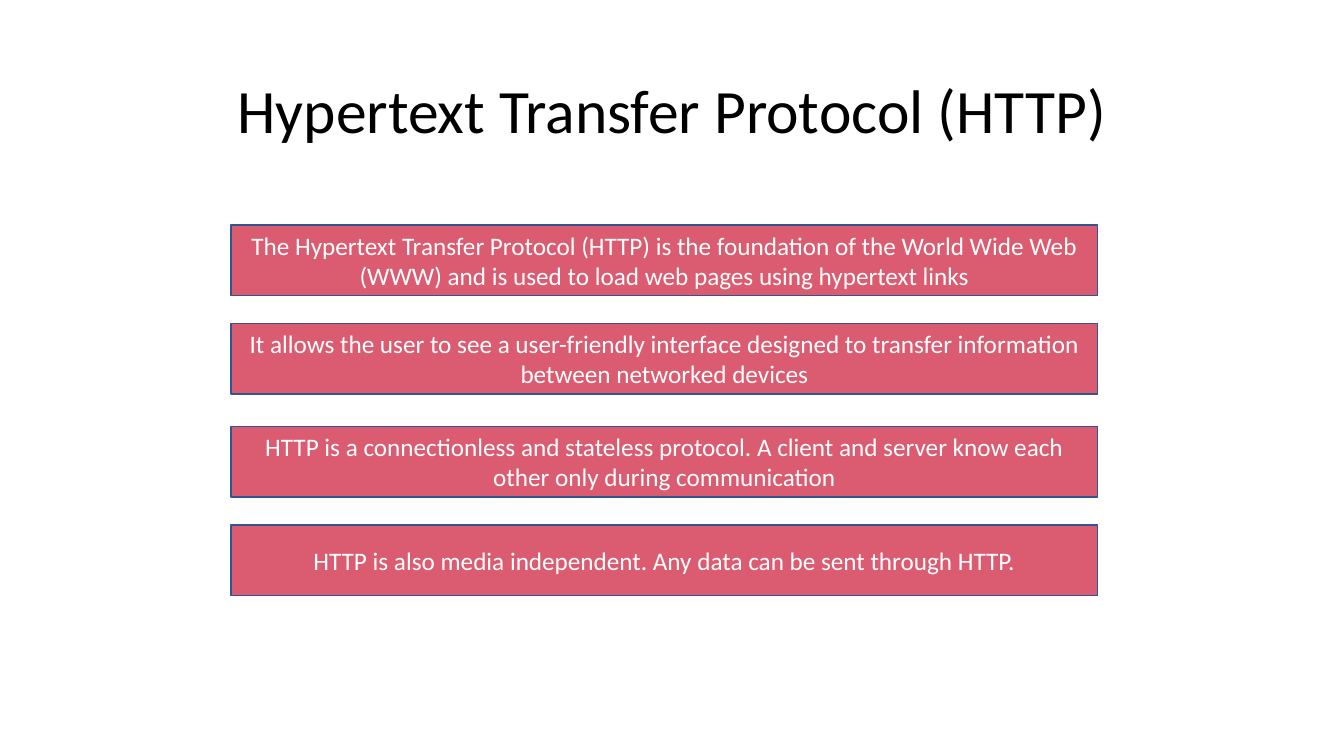
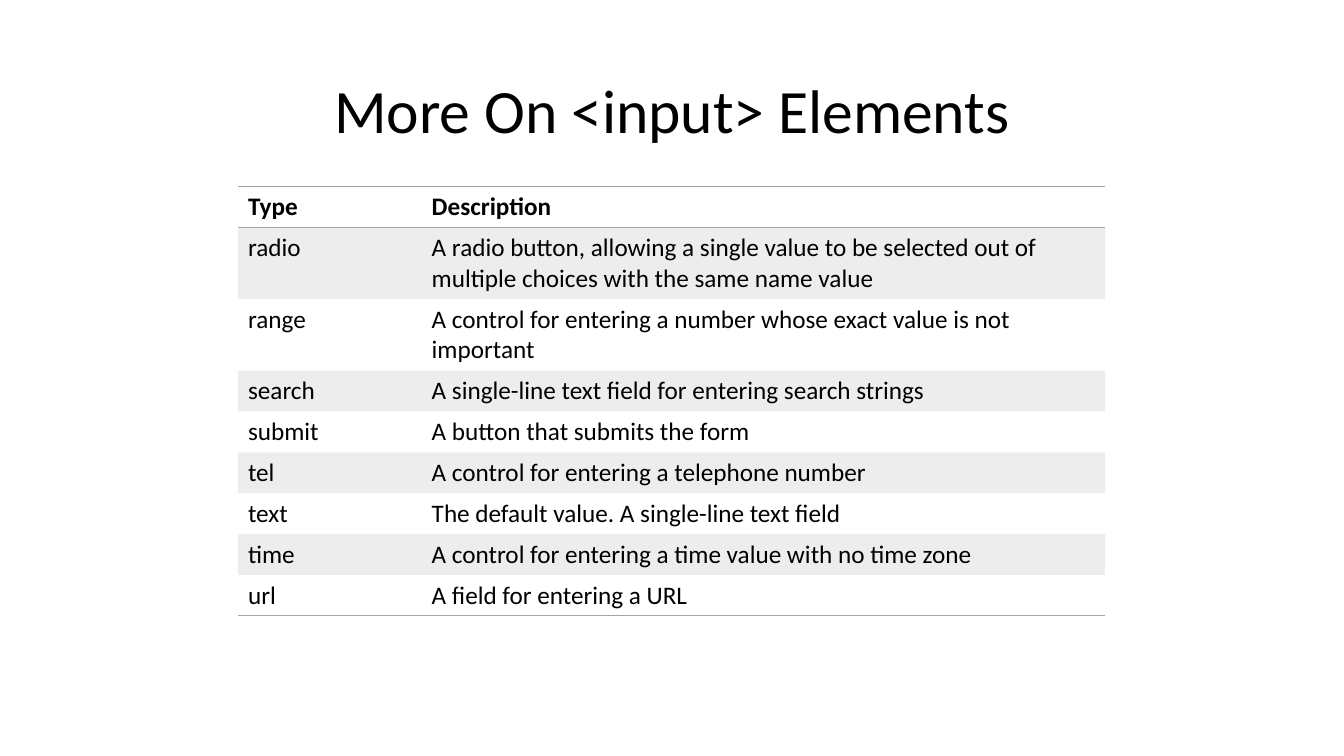
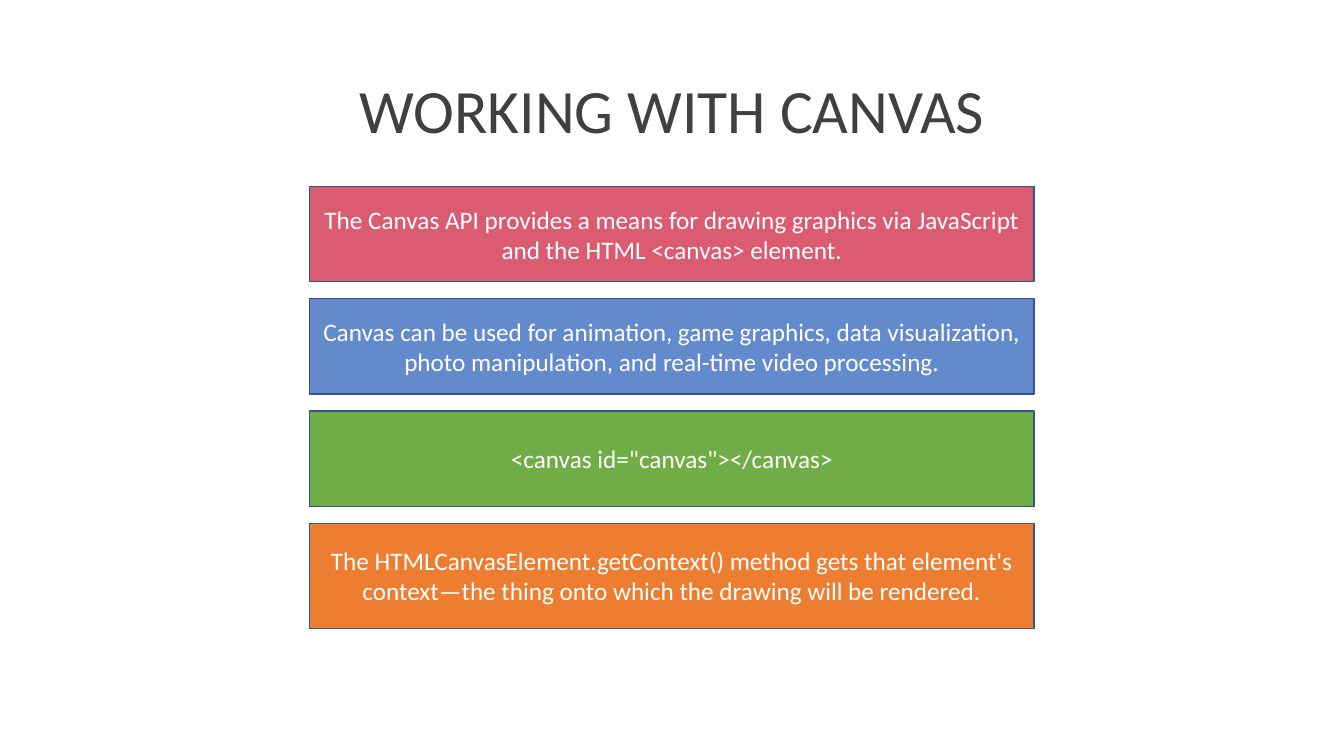
from dataclasses import dataclass
from lxml import etree
from pptx import Presentation
from pptx.dml.color import RGBColor
from pptx.enum.shapes import MSO_SHAPE as SHAPE
from pptx.enum.text import MSO_ANCHOR as ANCHOR, PP_ALIGN as ALIGN
from pptx.oxml import parse_xml
from pptx.oxml.ns import nsdecls, qn
from pptx.util import Pt


@dataclass(frozen=True)
class Theme:
    font: str = "Calibri"
    title_size: int = 44
    body_size: int = 18
    black: str = "000000"
    charcoal: str = "404040"
    white: str = "FFFFFF"
    rose: str = "DB5B70"
    blue: str = "648ACE"
    green: str = "70AD47"
    orange: str = "ED7D31"
    outline: str = "325491"
    grey: str = "A5A5A5"
    band_alpha: int = 20000
    plain_table: str = "{2D5ABB26-0587-4C30-8999-92F81FD0307C}"


class Deck:
    """Build slides that share one theme."""

    def __init__(self, theme):
        self.theme = theme
        self.prs = Presentation()
        self.prs.slide_width, self.prs.slide_height = Pt(960), Pt(540)
        self.slide = None

    def style(self, tf, size, color, align, bold=False):
        for p in tf.paragraphs:
            p.alignment = align
            for r in p.runs:
                r.font.name = self.theme.font
                r.font.size = Pt(size)
                r.font.bold = bold
                r.font.color.rgb = RGBColor.from_string(color)

    def add_slide(self, title, color):
        self.slide = self.prs.slides.add_slide(self.prs.slide_layouts[5])
        sp = self.slide.shapes.title
        sp.left, sp.top, sp.width, sp.height = Pt(66.2), Pt(28.8), Pt(828), Pt(104.4)
        tf = sp.text_frame
        tf.text = title
        tf.vertical_anchor = ANCHOR.MIDDLE
        tf.paragraphs[0].line_spacing = 0.9
        self.style(tf, self.theme.title_size, color, ALIGN.CENTER)

    def add_box(self, text, left, top, width, height, fill):
        sp = self.slide.shapes.add_shape(
            SHAPE.RECTANGLE, Pt(left), Pt(top), Pt(width), Pt(height))
        sp.shadow.inherit = False
        sp.fill.solid()
        sp.fill.fore_color.rgb = RGBColor.from_string(fill)
        sp.line.color.rgb = RGBColor.from_string(self.theme.outline)
        sp.line.width = Pt(1)
        tf = sp.text_frame
        tf.text = text
        tf.word_wrap = True
        tf.vertical_anchor = ANCHOR.MIDDLE
        self.style(tf, self.theme.body_size, self.theme.white, ALIGN.CENTER)

    def add_table(self, rows, left, top, col_widths, row_height):
        table = self.slide.shapes.add_table(
            len(rows), len(col_widths), Pt(left), Pt(top),
            Pt(sum(col_widths)), Pt(row_height * len(rows))).table
        table.horz_banding = False
        table._tbl.tblPr.find(qn("a:tableStyleId")).text = self.theme.plain_table
        for col, width in zip(table.columns, col_widths):
            col.width = Pt(width)
        for i, row in enumerate(rows):
            table.rows[i].height = Pt(row_height)
            sides = "TB" if i == 0 else "B" if i == len(rows) - 1 else ""
            for cell, text in zip(table.rows[i].cells, row):
                cell.text = text
                self.style(cell.text_frame, self.theme.body_size,
                           self.theme.black, ALIGN.LEFT, bold=i == 0)
                self.fill_cell(cell, banded=i % 2 == 1)
                self.rule_cell(cell, sides)

    def fill_cell(self, cell, banded):
        if not banded:
            cell.fill.background()
            return
        cell.fill.solid()
        cell.fill.fore_color.rgb = RGBColor.from_string(self.theme.grey)
        clr = cell._tc.tcPr.find(f".//{qn('a:srgbClr')}")
        etree.SubElement(clr, qn("a:alpha"), val=str(self.theme.band_alpha))

    def rule_cell(self, cell, sides):
        for i, side in enumerate(sides):
            cell._tc.tcPr.insert(i, parse_xml(
                f'<a:ln{side} {nsdecls("a")} w="{Pt(1)}"><a:solidFill>'
                f'<a:srgbClr val="{self.theme.grey}"/></a:solidFill></a:ln{side}>'))


def add_http_slide(deck):
    deck.add_slide("Hypertext Transfer Protocol (HTTP)", deck.theme.black)
    facts = [
        (160.6, "The Hypertext Transfer Protocol (HTTP) is the foundation of the World Wide Web "
                "(WWW) and is used to load web pages using hypertext links"),
        (231.1, "It allows the user to see a user-friendly interface designed to transfer "
                "information between networked devices"),
        (304.6, "HTTP is a connectionless and stateless protocol. A client and server know each "
                "other only during communication"),
        (375.1, "HTTP is also media independent. Any data can be sent through HTTP."),
    ]
    for top, text in facts:
        deck.add_box(text, 165, top, 619.2, 50.4, deck.theme.rose)


def add_input_slide(deck):
    deck.add_slide("More On <input> Elements", deck.theme.black)
    rows = [
        ("Type", "Description"),
        ("radio", "A radio button, allowing a single value to be selected out of multiple "
                  "choices with the same name value"),
        ("range", "A control for entering a number whose exact value is not important"),
        ("search", "A single-line text field for entering search strings"),
        ("submit", "A button that submits the form"),
        ("tel", "A control for entering a telephone number"),
        ("text", "The default value. A single-line text field"),
        ("time", "A control for entering a time value with no time zone"),
        ("url", "A field for entering a URL"),
    ]
    deck.add_table(rows, 170, 133.2, (131.2, 488.2), 29.2)


def add_canvas_slide(deck):
    theme = deck.theme
    deck.add_slide("WORKING WITH CANVAS", theme.charcoal)
    boxes = [
        (theme.rose, 68, "The Canvas API provides a means for drawing graphics via JavaScript "
                         "and the HTML <canvas> element."),
        (theme.blue, 68, "Canvas can be used for animation, game graphics, data visualization, "
                         "photo manipulation, and real-time video processing."),
        (theme.green, 68, '<canvas id="canvas"></canvas>'),
        (theme.orange, 75, "The HTMLCanvasElement.getContext() method gets that element's "
                           "context—the thing onto which the drawing will be rendered."),
    ]
    for i, (fill, height, text) in enumerate(boxes):
        deck.add_box(text, 221, 133.2 + 80.2 * i, 517.7, height, fill)


def main():
    deck = Deck(Theme())
    add_http_slide(deck)
    add_input_slide(deck)
    add_canvas_slide(deck)
    deck.prs.save("out.pptx")


if __name__ == "__main__":
    main()
